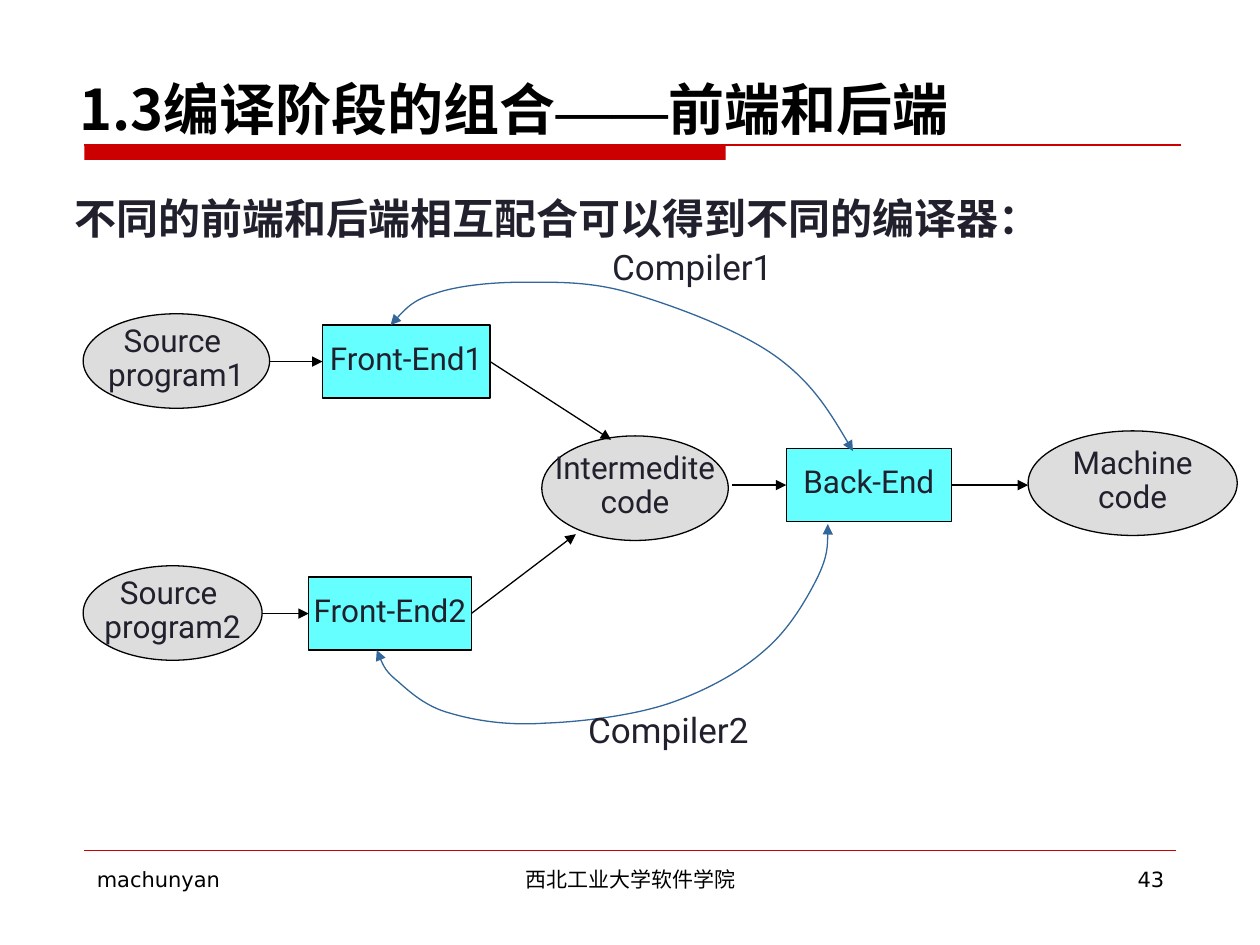
import pptx
import pptx.util
import pptx.dml.color
import pptx.enum.text
import pptx.enum.shapes
import pptx.oxml
import pptx.oxml.ns

Inches = pptx.util.Inches
Pt = pptx.util.Pt
Align = pptx.enum.text.PP_ALIGN
Anchor = pptx.enum.text.MSO_ANCHOR
Shape = pptx.enum.shapes.MSO_SHAPE
qn = pptx.oxml.ns.qn

HUES = {"ink": "21212D", "black": "000000", "red": "CC0000",
        "cyan": "66FFFF", "gray": "DDDDDD", "blue": "336699"}
EAST = {"Times New Roman": "Noto Sans CJK JP", "Roboto": "Times New Roman"}

HEAD = [("1.3编译阶段的组合", "Noto Sans CJK JP"), ("——", "Roboto"),
        ("前端和后端", "Noto Sans CJK JP")]
TITLE = "不同的前端和后端相互配合可以得到不同的编译器："
FOOT = [("machunyan", 0.67, 2.15, Align.LEFT),
        ("西北工业大学软件学院", 3.42, 3.17, Align.CENTER),
        ("43", 7.17, 2.17, Align.RIGHT)]
NODES = {
    "src1": ("oval", ["Source ", "program1"], (0.66, 2.49, 1.48, 0.75)),
    "src2": ("oval", ["Source ", "program2"], (0.66, 4.49, 1.42, 0.75)),
    "front1": ("box", ["Front-End1"], (2.56, 2.58, 1.33, 0.58)),
    "front2": ("box", ["Front-End2"], (2.45, 4.58, 1.29, 0.58)),
    "mid": ("oval", ["Intermedite", "code"], (4.3, 3.46, 1.48, 0.83)),
    "back": ("box", ["Back-End"], (6.24, 3.56, 1.31, 0.58)),
    "out": ("oval", ["Machine", "code"], (8.16, 3.42, 1.66, 0.83)),
}
KINDS = {"oval": (Shape.OVAL, "gray"), "box": (Shape.RECTANGLE, "cyan")}
LINKS = [((2.14, 2.87), ("front1", 1)), ((2.08, 4.87), ("front2", 1)),
         (("front1", 3), (4.85, 3.49)), (("front2", 3), (4.57, 4.24)),
         ((5.81, 3.85), ("back", 1)), (("back", 3), (8.16, 3.85))]
CURVES = [
    [(3.1, 2.58), (3.19, 2.48), (3.28, 2.38), (3.45, 2.33), (3.62, 2.27),
     (3.89, 2.24), (4.15, 2.24), (4.41, 2.24), (4.69, 2.23), (5.02, 2.33),
     (5.36, 2.43), (5.87, 2.62), (6.16, 2.83), (6.45, 3.04), (6.61, 3.31),
     (6.77, 3.58)],
    [(2.99, 5.16), (3.02, 5.24), (3.06, 5.33), (3.16, 5.41), (3.25, 5.49),
     (3.38, 5.61), (3.57, 5.66), (3.77, 5.72), (4.03, 5.76), (4.32, 5.74),
     (4.61, 5.73), (5.03, 5.68), (5.32, 5.58), (5.61, 5.48), (5.88, 5.33),
     (6.07, 5.16), (6.27, 4.99), (6.41, 4.74), (6.49, 4.58), (6.57, 4.41),
     (6.57, 4.29), (6.57, 4.16)],
]
LABELS = [("Compiler1", (4.76, 1.98, 1.66, 0.43)),
          ("Compiler2", (4.57, 5.65, 1.5, 0.43))]

deck = pptx.Presentation()
deck.slide_width, deck.slide_height = Inches(10), Inches(7.5)
slide = deck.slides.add_slide(deck.slide_layouts[5])
shapes = slide.shapes


def tint(name):
    return pptx.dml.color.RGBColor.from_string(HUES[name])


def place(item, box):
    item.left, item.top, item.width, item.height = map(Inches, box)


def write(item, paras, size, font="Roboto", hue="ink", bold=False,
          align=Align.LEFT, anchor=Anchor.TOP, wrap=True, lead=None, gap=0):
    frame = item.text_frame
    frame.word_wrap = wrap
    frame.auto_size = pptx.enum.text.MSO_AUTO_SIZE.NONE
    frame.vertical_anchor = anchor
    for i, runs in enumerate(paras):
        para = frame.add_paragraph() if i else frame.paragraphs[0]
        para.alignment = align
        para.line_spacing = lead
        para.space_before = Pt(gap if i else 0)
        for text, face in [(runs, font)] if isinstance(runs, str) else runs:
            run = para.add_run()
            run.text = text
            run.font.size, run.font.bold, run.font.name = Pt(size), bold, face
            run.font.color.rgb = tint(hue)
            latin = run.font._element.find(qn("a:latin"))
            latin.addnext(latin.makeelement(
                qn("a:ea"), {"typeface": EAST.get(face, face)}))


def label(box, paras, size, **style):
    item = shapes.add_textbox(*map(Inches, box))
    write(item, paras, size, **style)


def stroke(item, hue, width, ends=()):
    item.line.color.rgb = tint(hue)
    item.line.width = Pt(width)
    for end in ends:
        tip = item.line._get_or_add_ln().makeelement(
            qn(f"a:{end}"), {"type": "triangle"})
        item.line._get_or_add_ln().append(tip)


def link(start, stop, hue="black", width=0.75, ends=("tailEnd",)):
    spots = [(0, 0) if isinstance(p[0], str) else p for p in (start, stop)]
    item = shapes.add_connector(pptx.enum.shapes.MSO_CONNECTOR.STRAIGHT,
                                *map(Inches, spots[0] + spots[1]))
    for spot, join in ((start, item.begin_connect), (stop, item.end_connect)):
        if isinstance(spot[0], str):
            join(nodes[spot[0]], spot[1])
    stroke(item, hue, width, ends)
    props = item._element.spPr
    props.append(props.makeelement(qn("a:effectLst"), {}))


def curve(points):
    spots = [(Inches(x), Inches(y)) for x, y in points]
    pen = shapes.build_freeform(*spots[0])
    pen.add_line_segments(spots[1:], close=False)
    item = pen.convert_to_shape()
    item.shadow.inherit = False
    item.fill.background()
    stroke(item, "blue", 0.75, ("headEnd", "tailEnd"))
    legs = list(item._element.iter(qn("a:lnTo")))
    for i in range(0, len(legs), 3):
        bend = legs[i].makeelement(qn("a:cubicBezTo"), {})
        legs[i].addprevious(bend)
        for leg in legs[i:i + 3]:
            bend.append(leg[0])
            leg.getparent().remove(leg)


bar = shapes.add_shape(Shape.RECTANGLE, *map(Inches, (0.67, 1.15, 5.09, 0.12)))
bar.shadow.inherit = False
bar.fill.solid()
bar.fill.fore_color.rgb = tint("red")
bar.line.fill.background()
link((0.67, 1.15), (9.37, 1.15), "red", 0.75, ())
link((0.67, 6.75), (9.33, 6.75), "red", 0.25, ())

label((0.53, 0.52, 9.33, 0.65), [HEAD], 32, hue="black", bold=True,
      anchor=Anchor.BOTTOM)
place(shapes.title, (0.49, 0.81, 8.24, 1.17))
write(shapes.title, [TITLE], 24, font="Times New Roman", bold=True,
      anchor=Anchor.BOTTOM)
for text, left, width, align in FOOT:
    label((left, 6.83, width, 0.52), [text], 12, font="DejaVu Sans",
          hue="black", align=align)

nodes = {}
for name, (kind, lines, box) in NODES.items():
    form, hue = KINDS[kind]
    node = nodes[name] = shapes.add_shape(form, *map(Inches, box))
    node.shadow.inherit = False
    node.fill.solid()
    node.fill.fore_color.rgb = tint(hue)
    stroke(node, "black", 0.75)
    write(node, lines, 18, align=Align.CENTER, anchor=Anchor.MIDDLE,
          wrap=False, lead=0.75, gap=3.6)

for start, stop in LINKS:
    link(start, stop)
for points in CURVES:
    curve(points)
for text, box in LABELS:
    label(box, [text], 20, lead=0.75)

deck.save("out.pptx")
